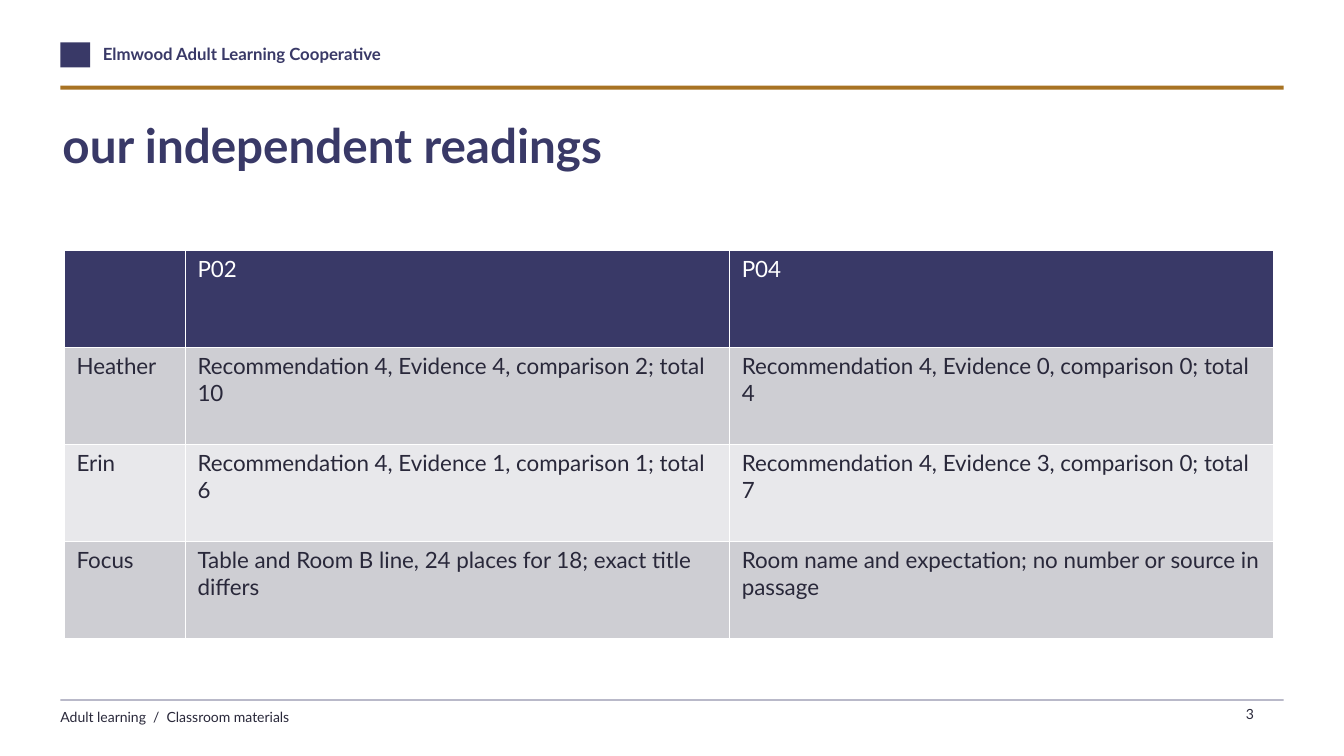
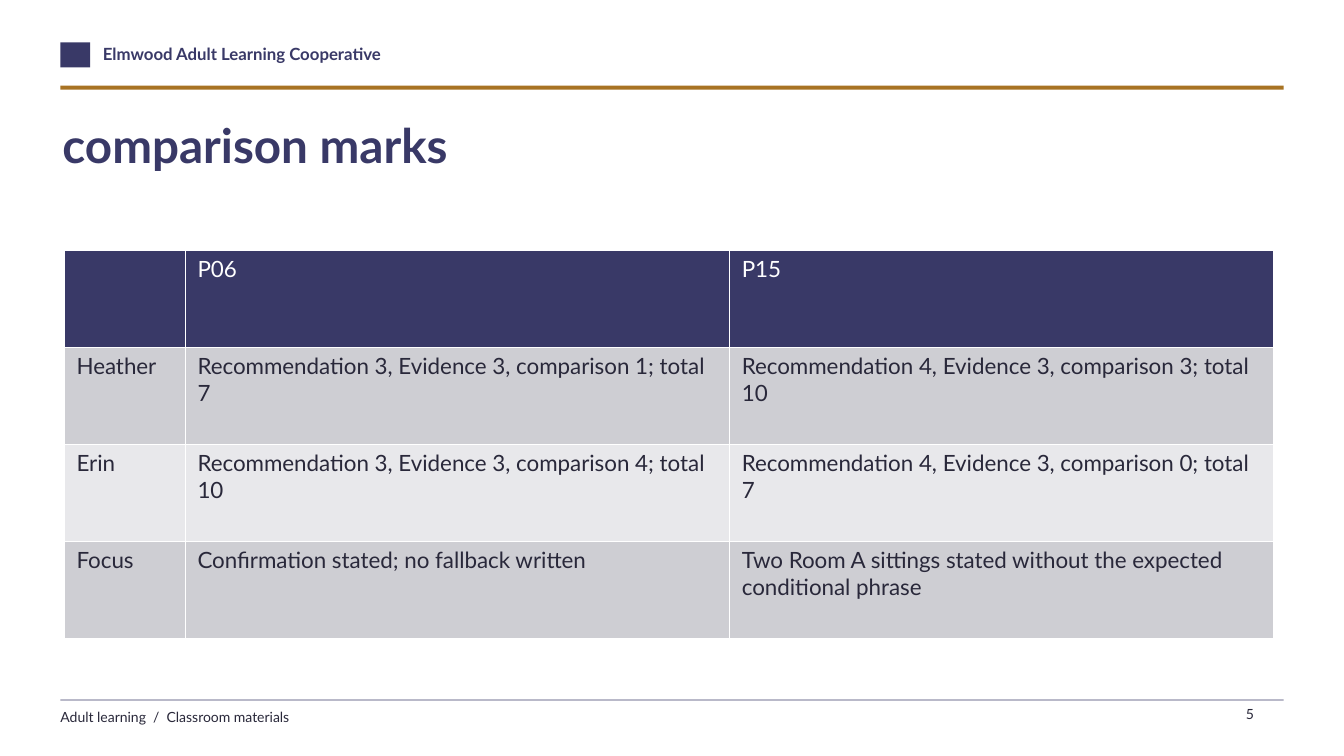
from pptx import Presentation
from pptx.dml.color import RGBColor
from pptx.enum.shapes import MSO_SHAPE as SHAPE
from pptx.enum.text import MSO_ANCHOR as ANCHOR, MSO_AUTO_SIZE as AUTO, PP_ALIGN as ALIGN
from pptx.oxml import parse_xml
from pptx.oxml.ns import nsdecls
from pptx.util import Inches, Pt

NAVY, GOLD, INK, WHITE = "393967", "A87323", "29283A", "FFFFFF"
BANDS = ("CECED3", "E8E8EB")
FONT = "Lato"
LEFT, SPAN = 4.5, 91  # shared margin and width of the rules, in % of slide width


def rgb(value):
    return RGBColor.from_string(value)


class Deck:
    """Holds the style and the current slide; boxes are (x, y, w, h) in % of the slide."""

    def __init__(self):
        self.prs = Presentation()
        self.prs.slide_width, self.prs.slide_height = Inches(13.33), Inches(7.5)
        self.slide = None

    def box(self, x, y, w, h):
        width, height = self.prs.slide_width, self.prs.slide_height
        return [round(share * size / 100)
                for share, size in zip((x, y, w, h), (width, height) * 2)]

    def style(self, tf, size, color, bold=False, align=ALIGN.LEFT):
        for p in tf.paragraphs:
            p.alignment = align
            for r in p.runs:
                font = r.font
                font.name, font.size, font.bold = FONT, Pt(size), bold
                font.color.rgb = rgb(color)

    def clear_insets(self, tf):
        tf.margin_left = tf.margin_top = tf.margin_right = tf.margin_bottom = 0

    def add_slide(self, title, number):
        self.slide = self.prs.slides.add_slide(self.prs.slide_layouts[5])
        self.frame()
        self.title(title)
        self.page_number(number)

    def frame(self):
        """Header and footer that every slide shares."""
        self.rect(LEFT, 5.6, 2.2, 3.33, NAVY)
        self.label("Elmwood Adult Learning Cooperative", (7.65, 5.73, 45, 3.73), 12, NAVY, True)
        self.rect(LEFT, 11.33, SPAN, 0.53, GOLD)
        self.rect(LEFT, 92.53, SPAN, 0.13, NAVY)
        self.label("Adult learning  /  Classroom materials", (LEFT, 93.73, 52.5, 3.07), 10, INK)

    def title(self, text):
        sp = self.slide.shapes.title
        sp.left, sp.top, sp.width, sp.height = self.box(4.65, 15.33, 90, 14)
        tf = sp.text_frame
        tf.text = text
        tf.word_wrap, tf.auto_size, tf.vertical_anchor = True, AUTO.NONE, ANCHOR.TOP
        self.clear_insets(tf)
        self.style(tf, 34, NAVY, bold=True)

    def rect(self, x, y, w, h, color):
        sp = self.slide.shapes.add_shape(SHAPE.RECTANGLE, *self.box(x, y, w, h))
        sp.shadow.inherit = False
        sp.fill.solid()
        sp.fill.fore_color.rgb = rgb(color)
        sp.line.fill.background()

    def label(self, text, box, size, color, bold=False):
        tf = self.slide.shapes.add_textbox(*self.box(*box)).text_frame
        tf.text = text
        tf.word_wrap, tf.auto_size = True, AUTO.SHAPE_TO_FIT_TEXT
        self.clear_insets(tf)
        tf.paragraphs[0].space_after = Pt(4)
        self.style(tf, size, color, bold)

    def page_number(self, number):
        tf = self.slide.shapes.add_textbox(*self.box(91.13, 92.67, 3.75, 3.33)).text_frame
        tf.text = str(number)
        tf.word_wrap, tf.auto_size = False, AUTO.SHAPE_TO_FIT_TEXT
        self.style(tf, 10, INK, align=ALIGN.CENTER)

    def table(self, rows):
        box = self.box(4.8, 33.07, 90, 51.47)
        table = self.slide.shapes.add_table(len(rows), len(rows[0]), *box).table
        for column, share in zip(table.columns, (9, 40.5, 40.5)):
            column.width = self.box(0, 0, share, 0)[2]
        for i, row in enumerate(rows):
            for j, text in enumerate(row):
                fill, color = (BANDS[(i - 1) % 2], INK) if i else (NAVY, WHITE)
                self.cell(table.cell(i, j), text, fill, color)

    def cell(self, cell, text, fill, color):
        cell.text = text
        cell.margin_left = cell.margin_right = Inches(0.12)
        cell.margin_top = cell.margin_bottom = Inches(0.05)
        self.style(cell.text_frame, 16, color)
        props = cell._tc.get_or_add_tcPr()
        for side in "LRTB":
            props.append(parse_xml(
                f'<a:ln{side} {nsdecls("a")} w="{Pt(1)}"><a:solidFill>'
                f'<a:srgbClr val="{WHITE}"/></a:solidFill></a:ln{side}>'))
        cell.fill.solid()
        cell.fill.fore_color.rgb = rgb(fill)


def marks(recommendation, evidence, comparison):
    total = recommendation + evidence + comparison
    return (f"Recommendation {recommendation}, Evidence {evidence}, "
            f"comparison {comparison}; total {total}")


SLIDES = [
    ("our independent readings", 3, [
        ("", "P02", "P04"),
        ("Heather", marks(4, 4, 2), marks(4, 0, 0)),
        ("Erin", marks(4, 1, 1), marks(4, 3, 0)),
        ("Focus", "Table and Room B line, 24 places for 18; exact title differs",
         "Room name and expectation; no number or source in passage"),
    ]),
    ("comparison marks", 5, [
        ("", "P06", "P15"),
        ("Heather", marks(3, 3, 1), marks(4, 3, 3)),
        ("Erin", marks(3, 3, 4), marks(4, 3, 0)),
        ("Focus", "Confirmation stated; no fallback written",
         "Two Room A sittings stated without the expected conditional phrase"),
    ]),
]


def main():
    deck = Deck()
    for title, number, rows in SLIDES:
        deck.add_slide(title, number)
        deck.table(rows)
    deck.prs.save("out.pptx")


if __name__ == "__main__":
    main()
